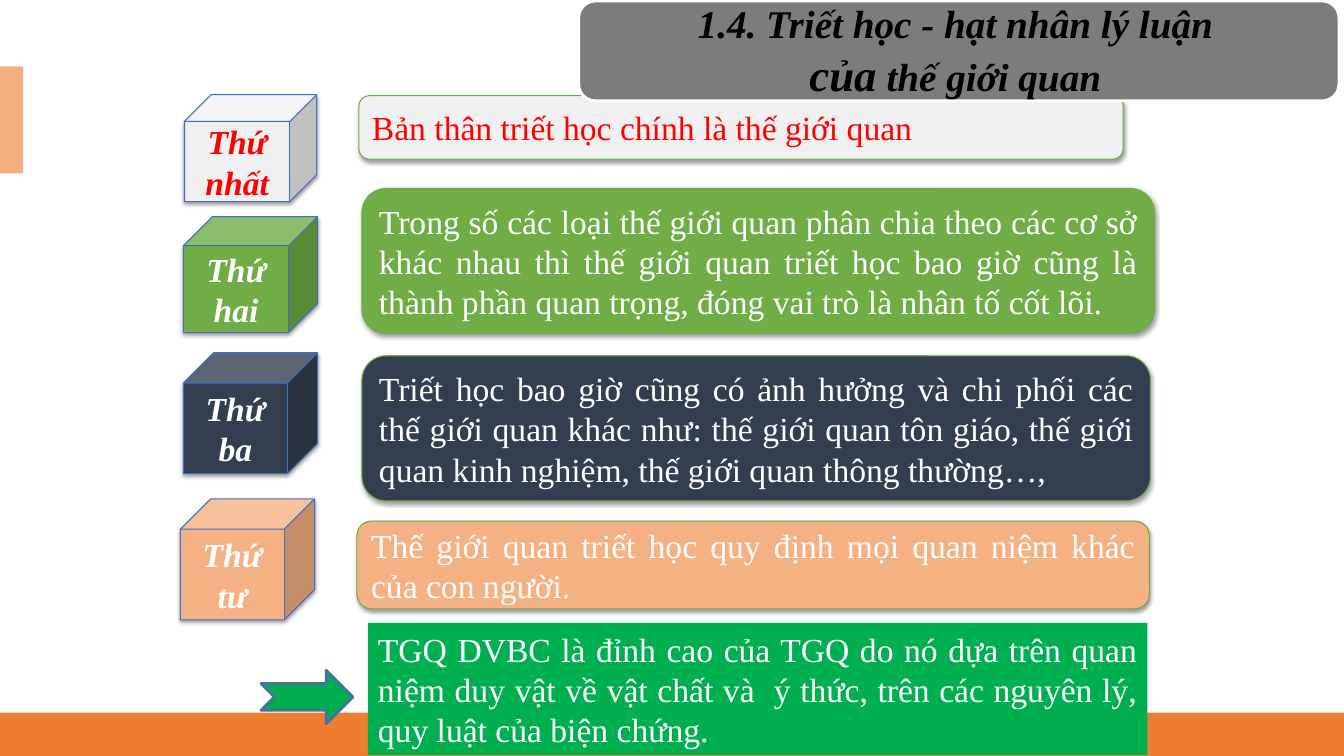
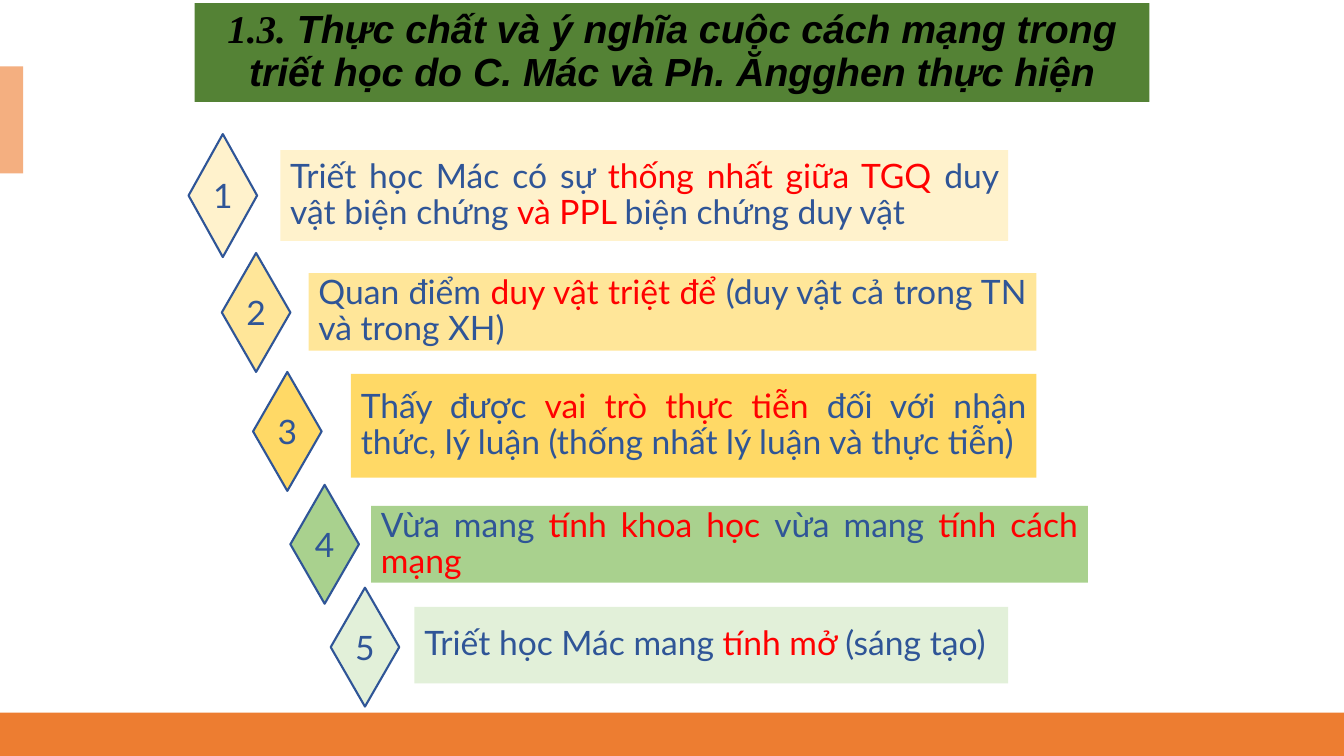
"""Build two slides on the philosophical worldview and the Marxist revolution in philosophy."""
import pptx
import pptx.dml.color
import pptx.enum.shapes
import pptx.enum.text
import pptx.oxml
import pptx.oxml.ns
import pptx.util

Inches, Pt = pptx.util.Inches, pptx.util.Pt
SHAPE = pptx.enum.shapes.MSO_SHAPE
ALIGN = pptx.enum.text.PP_ALIGN

COLORS = {
    "band": "ED7D31", "tab": "F4AF80", "black": "000000", "white": "FFFFFF",
    "red": "FF0000", "gray": "7C7C7C", "pale": "F1F0F0", "green": "70AD47",
    "slate": "333F50", "peach": "F4B183", "emerald": "00B050",
    "box_edge": "6DAC43", "cube_edge": "3F6FC3", "arrow_edge": "43739E",
    "blue": "2F5597", "forest": "548235", "cream": "FFF2CC", "butter": "FFE699",
    "gold": "FFD966", "leaf": "A9D18E", "mint": "E2F0D9",
}
SERIF, SANS, BODY = "Times New Roman", "Arial", "Lato"
SHADOW = (
    '<a:outerShdw %s blurRad="39370" dist="20320" dir="5400000" algn="ctr" rotWithShape="0">'
    '<a:srgbClr val="000000"><a:alpha val="38000"/></a:srgbClr></a:outerShdw>'
    % pptx.oxml.ns.nsdecls("a")
)


def rgb(name):
    return pptx.dml.color.RGBColor.from_string(COLORS[name])


class Deck:
    def __init__(self):
        self.prs = pptx.Presentation()
        self.prs.slide_width, self.prs.slide_height = Inches(13.33), Inches(7.5)
        self.s = None

    def slide(self):
        self.s = self.prs.slides.add_slide(self.prs.slide_layouts[5])

    def master_bands(self):
        tree = self.prs.slide_master.shapes._spTree
        for i, (at, fill) in enumerate([((0, 7.07, 13.33, 0.44), "band"),
                                        ((0, 0.66, 0.23, 1.06), "tab")]):
            tree.insert(2 + i, self.shape(SHAPE.RECTANGLE, at, fill)._element)

    def shape(self, kind, at, fill, line=None, width=0.75, shadow=False):
        sp = self.s.shapes.add_shape(kind, *map(Inches, at))
        sp.fill.solid()
        sp.fill.fore_color.rgb = rgb(fill)
        if line:
            sp.line.color.rgb = rgb(line)
            sp.line.width = Pt(width)
        else:
            sp.line.fill.background()
        sp.shadow.inherit = False
        if shadow:
            effects = sp._element.spPr.find(pptx.oxml.ns.qn("a:effectLst"))
            effects.append(pptx.oxml.parse_xml(SHADOW))
        return sp

    def text(self, sp, paragraphs, align, spacing=1.0, inset=(0.1, 0.05)):
        tf = sp.text_frame
        tf.word_wrap = True
        tf.auto_size = pptx.enum.text.MSO_AUTO_SIZE.NONE
        tf.vertical_anchor = pptx.enum.text.MSO_ANCHOR.MIDDLE
        tf.margin_left = tf.margin_right = Inches(inset[0])
        tf.margin_top = tf.margin_bottom = Inches(inset[1])
        for i, runs in enumerate(paragraphs):
            p = tf.add_paragraph() if i else tf.paragraphs[0]
            p.alignment, p.line_spacing = align, spacing
            for words, font, size, color, strong in runs:
                r = p.add_run()
                r.text = words
                r.font.name, r.font.size = font, Pt(size)
                r.font.color.rgb = rgb(color)
                r.font.bold = r.font.italic = strong

    def title(self, at, paragraphs, fill=None, spacing=1.0):
        sp = self.s.shapes.title
        sp.left, sp.top, sp.width, sp.height = map(Inches, at)
        if fill:
            sp.fill.solid()
            sp.fill.fore_color.rgb = rgb(fill)
        runs = [[(*run, "black", True) for run in p] for p in paragraphs]
        self.text(sp, runs, ALIGN.CENTER, spacing, (0.24, 0))
        self.s.shapes._spTree.append(sp._element)

    def cube(self, at, fill, label, color):
        sp = self.shape(SHAPE.CUBE, at, fill, "cube_edge", shadow=True)
        self.text(sp, [[(label, SERIF, 24, color, True)]], ALIGN.CENTER)

    def card(self, at, fill, words, color):
        sp = self.shape(SHAPE.ROUNDED_RECTANGLE, at, fill, "box_edge", shadow=True)
        self.text(sp, [[(words, SERIF, 24, color, False)]], ALIGN.JUSTIFY)

    def diamond(self, at, fill, number):
        sp = self.shape(SHAPE.FLOWCHART_DECISION, at, fill, "blue", 1.5)
        self.text(sp, [[(str(number), BODY, 24, "blue", False)]], ALIGN.CENTER, inset=(0, 0))

    def bar(self, at, fill, parts):
        sp = self.shape(SHAPE.RECTANGLE, at, fill)
        runs = [(words, BODY, 24, "red" if i % 2 else "blue", False)
                for i, words in enumerate(parts)]
        self.text(sp, [runs], ALIGN.JUSTIFY, 0.9)


def worldview_slide(deck):
    deck.slide()
    deck.master_bands()
    rows = [
        ("Thứ nhất", "pale", "red", (1.83, 0.94, 1.31, 1.06), (3.56, 0.95, 7.58, 0.63),
         "Bản thân triết học chính là thế giới quan"),
        ("Thứ hai", "green", "white", (1.82, 2.15, 1.33, 1.15), (3.59, 1.87, 7.86, 1.44),
         "Trong số các loại thế giới quan phân chia theo các cơ sở khác nhau thì thế giới quan "
         "triết học bao giờ cũng là thành phần quan trọng, đóng vai trò là nhân tố cốt lõi."),
        ("Thứ ba", "slate", "white", (1.82, 3.5, 1.33, 1.2), (3.59, 3.53, 7.82, 1.44),
         "Triết học bao giờ cũng có ảnh hưởng và chi phối các thế giới quan khác như: thế giới "
         "quan tôn giáo, thế giới quan kinh nghiệm, thế giới quan thông thường…,"),
        ("Thứ tư", "peach", "white", (1.79, 4.95, 1.33, 1.2), (3.54, 5.17, 7.86, 0.87),
         "Thế giới quan triết học quy định mọi quan niệm khác của con người."),
    ]
    for label, fill, color, cube_at, card_at, words in rows:
        deck.card(card_at, fill, words, color)
        deck.cube(cube_at, fill, label, color)
    conclusion = deck.shape(SHAPE.RECTANGLE, (3.65, 6.18, 7.73, 1.31), "emerald")
    words = ("TGQ DVBC là đỉnh cao của TGQ do nó dựa trên quan niệm duy vật về vật chất và  "
             "ý thức, trên các nguyên lý, quy luật của biện chứng.")
    deck.text(conclusion, [[(words, SERIF, 24, "white", False)]], ALIGN.JUSTIFY)
    deck.shape(SHAPE.NOTCHED_RIGHT_ARROW, (2.59, 6.65, 0.91, 0.53), "emerald", "arrow_edge", 2)
    deck.shape(SHAPE.ROUNDED_RECTANGLE, (5.74, 0.01, 7.54, 0.99), "gray", "white", 2)
    deck.title((5.74, 0.1, 7.47, 0.79), [
        [("1.4. Triết học - hạt nhân lý luận", SERIF, 28)],
        [("của", SERIF, 32), (" thế giới quan", SERIF, 28)],
    ])


def revolution_slide(deck):
    deck.slide()
    rows = [
        ("cream", (1.87, 1.33, 0.68, 1.22), (2.78, 1.49, 7.22, 0.9),
         ["Triết học Mác có sự ", "thống nhất giữa TGQ ", "duy vật biện chứng ", "và PPL ",
          "biện chứng duy vật"]),
        ("butter", (2.2, 2.51, 0.68, 1.18), (3.06, 2.71, 7.22, 0.77),
         ["Quan điểm ", "duy vật triệt để ", "(duy vật cả trong TN và trong XH)"]),
        ("gold", (2.51, 3.69, 0.68, 1.18), (3.48, 3.71, 6.8, 1.03),
         ["Thấy được ", "vai trò thực tiễn ",
          "đối với nhận thức, lý luận (thống nhất lý luận và thực tiễn)"]),
        ("leaf", (2.88, 4.81, 0.68, 1.18), (3.68, 5.02, 7.11, 0.76),
         ["Vừa mang ", "tính khoa học ", "vừa mang ", "tính cách mạng"]),
        ("mint", (3.28, 5.83, 0.68, 1.18), (4.11, 6.02, 5.89, 0.76),
         ["Triết học Mác mang ", "tính mở ", "(sáng tạo)"]),
    ]
    for number, (fill, diamond_at, bar_at, parts) in enumerate(rows, 1):
        deck.bar(bar_at, fill, parts)
        deck.diamond(diamond_at, fill, number)
    deck.title((1.93, 0.03, 9.47, 0.98), [[
        ("1.3.", SERIF, 28),
        (" Thực chất và ý nghĩa cuộc cách mạng trong triết học do C. Mác và Ph. Ăngghen thực hiện",
         SANS, 28),
    ]], "forest", 0.9)


def main():
    deck = Deck()
    worldview_slide(deck)
    revolution_slide(deck)
    deck.prs.save("out.pptx")


if __name__ == "__main__":
    main()
